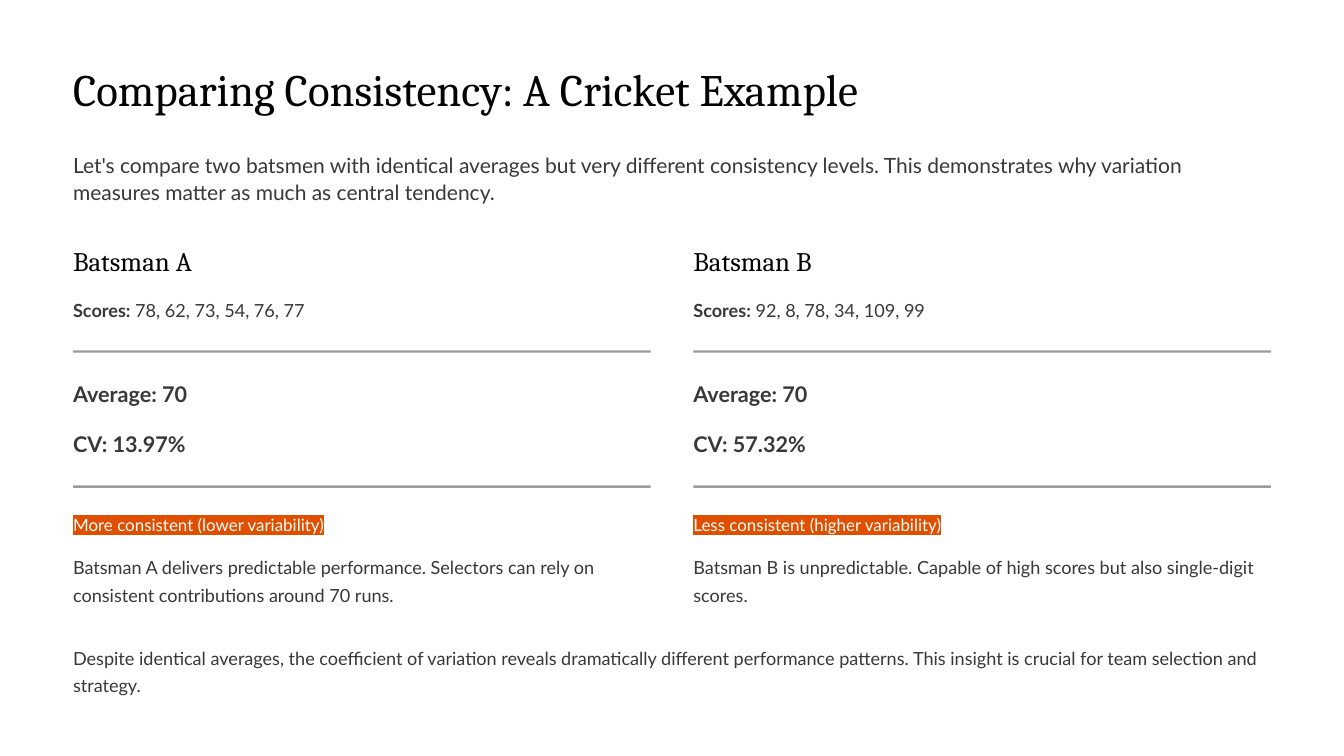
from lxml.etree import SubElement
from pptx import Presentation
from pptx.dml.color import RGBColor as RGB
from pptx.enum.shapes import MSO_SHAPE as Preset
from pptx.oxml.ns import qn
from pptx.util import Inches, Pt

COLORS = {
    "page": "FFFFFF",
    "heading": "020202",
    "body": "383838",
    "badge_text": "FFFFFF",
    "badge_fill": "E04F00",
}

# Each style: font attributes, colour name and line spacing in points
STYLES = {
    "title": ({"name": "Cambria", "size": Pt(38.5)}, "heading", 48.5),
    "intro": ({"name": "Lato", "size": Pt(18)}, "body", 23.5),
    "player": ({"name": "Cambria", "size": Pt(23)}, "heading", 29),
    "label": ({"name": "Lato", "size": Pt(15.5), "bold": True}, "body", 23.5),
    "body": ({"name": "Lato", "size": Pt(15.5)}, "body", 23.5),
    "statistic": ({"name": "Lato", "size": Pt(18.5), "bold": True}, "body", 29.5),
    "badge": ({"name": "Lato", "size": Pt(14.5)}, "badge_text", 23.5),
}

# Page grid, in inches
WIDTH, HEIGHT = 16, 9
MARGIN, GAP = 0.87, 0.51
CONTENT = WIDTH - 2 * MARGIN
COLUMN = (CONTENT - GAP) / 2
RULE_TOPS = (4.17, 5.78)
RULE_HEIGHT = 0.03

BATSMEN = [
    {
        "name": "Batsman A",
        "scores": "78, 62, 73, 54, 76, 77",
        "average": "70",
        "variation": "13.97%",
        "verdict": "More consistent (lower variability)",
        "comment": "Batsman A delivers predictable performance. Selectors can rely on "
                   "consistent contributions around 70 runs.",
    },
    {
        "name": "Batsman B",
        "scores": "92, 8, 78, 34, 109, 99",
        "average": "70",
        "variation": "57.32%",
        "verdict": "Less consistent (higher variability)",
        "comment": "Batsman B is unpredictable. Capable of high scores but also "
                   "single-digit scores.",
    },
]

presentation = Presentation()
presentation.slide_width = Inches(WIDTH)
presentation.slide_height = Inches(HEIGHT)
slide = presentation.slides.add_slide(presentation.slide_layouts[6])
slide.background.fill.solid()
slide.background.fill.fore_color.rgb = RGB.from_string(COLORS["page"])


def add_text(left, top, width, height, *runs, wrap=False):
    """Add a one-paragraph text box; each run is a (text, style) pair."""
    box = slide.shapes.add_textbox(*map(Inches, (left, top, width, height)))
    frame = box.text_frame
    frame.word_wrap = wrap
    for side in ("left", "top", "right", "bottom"):
        setattr(frame, f"margin_{side}", 0)
    paragraph = frame.paragraphs[0]
    for text, style in runs:
        attributes, color, spacing = STYLES[style]
        paragraph.line_spacing = Pt(spacing)
        run = paragraph.add_run()
        run.text = text
        run.font.color.rgb = RGB.from_string(COLORS[color])
        if style == "badge":
            properties = run.font._element
            highlight = SubElement(properties, qn("a:highlight"))
            SubElement(highlight, qn("a:srgbClr"), val=COLORS["badge_fill"])
        for attribute, value in attributes.items():
            setattr(run.font, attribute, value)


def add_rule(left, top):
    """Add a half-transparent divider across one column."""
    rule = slide.shapes.add_shape(
        Preset.RECTANGLE, *map(Inches, (left, top, COLUMN, RULE_HEIGHT)))
    rule.shadow.inherit = False
    rule.line.fill.background()
    rule.fill.solid()
    rule.fill.fore_color.rgb = RGB.from_string(COLORS["body"])
    color = rule._element.spPr.find(qn("a:solidFill"))[0]
    SubElement(color, qn("a:alpha"), val="50000")


# Title and introduction
add_text(MARGIN, 0.7, 10.41, 0.68,
         ("Comparing Consistency: A Cricket Example", "title"))
add_text(MARGIN, 1.79, CONTENT, 0.66,
         ("Let's compare two batsmen with identical averages but very different "
          "consistency levels. This demonstrates why variation measures matter as "
          "much as central tendency.", "intro"), wrap=True)

# One column per batsman
for index, batsman in enumerate(BATSMEN):
    left = MARGIN + index * (COLUMN + GAP)
    add_text(left, 2.89, 3.25, 0.41, (batsman["name"], "player"))
    add_text(left, 3.5, COLUMN, 0.33,
             ("Scores:", "label"), (f" {batsman['scores']}", "body"))
    add_text(left, 4.43, COLUMN, 0.41, (f"Average: {batsman['average']}", "statistic"))
    add_text(left, 5.03, COLUMN, 0.41, (f"CV: {batsman['variation']}", "statistic"))
    add_text(left, 6.04, COLUMN, 0.33, (batsman["verdict"], "badge"))
    add_text(left, 6.56, COLUMN, 0.66, (batsman["comment"], "body"), wrap=True)
    for top in RULE_TOPS:
        add_rule(left, top)

# Conclusion
add_text(MARGIN, 7.64, CONTENT, 0.66,
         ("Despite identical averages, the coefficient of variation reveals "
          "dramatically different performance patterns. This insight is crucial for "
          "team selection and strategy.", "body"), wrap=True)

presentation.save("out.pptx")
